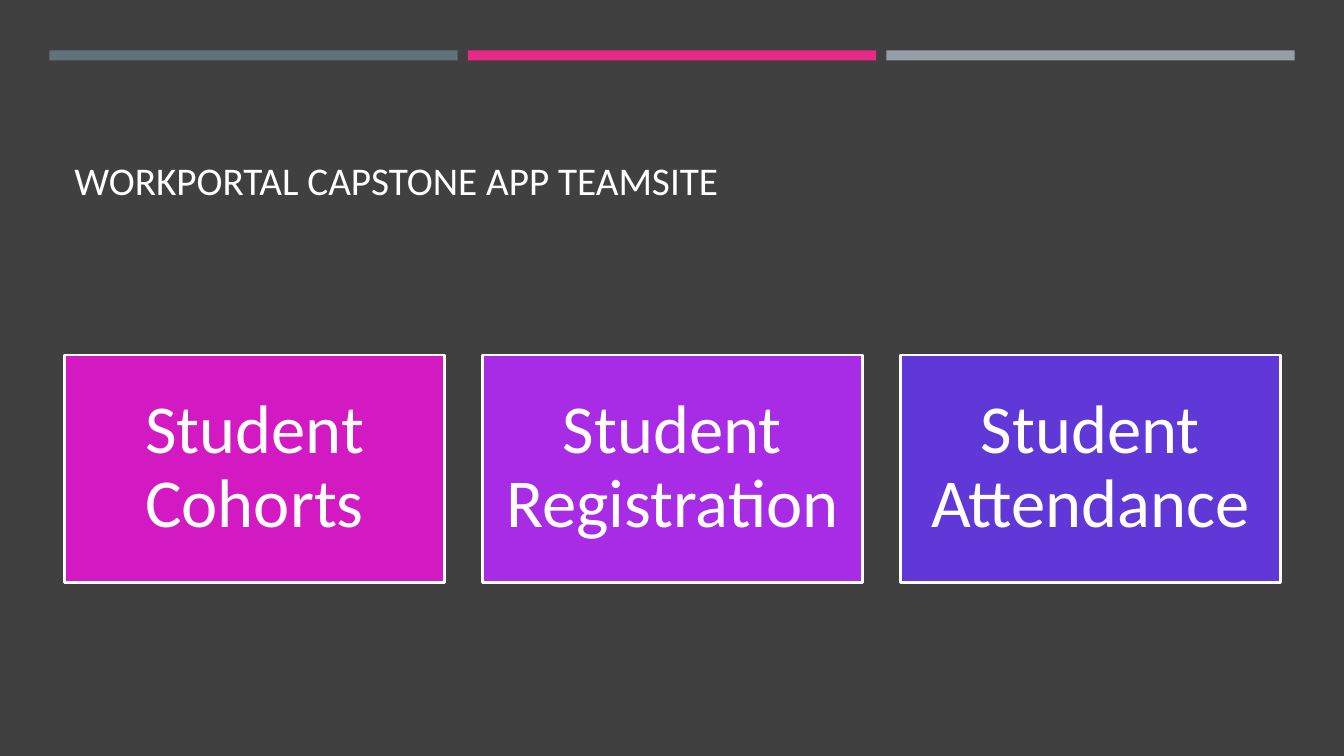
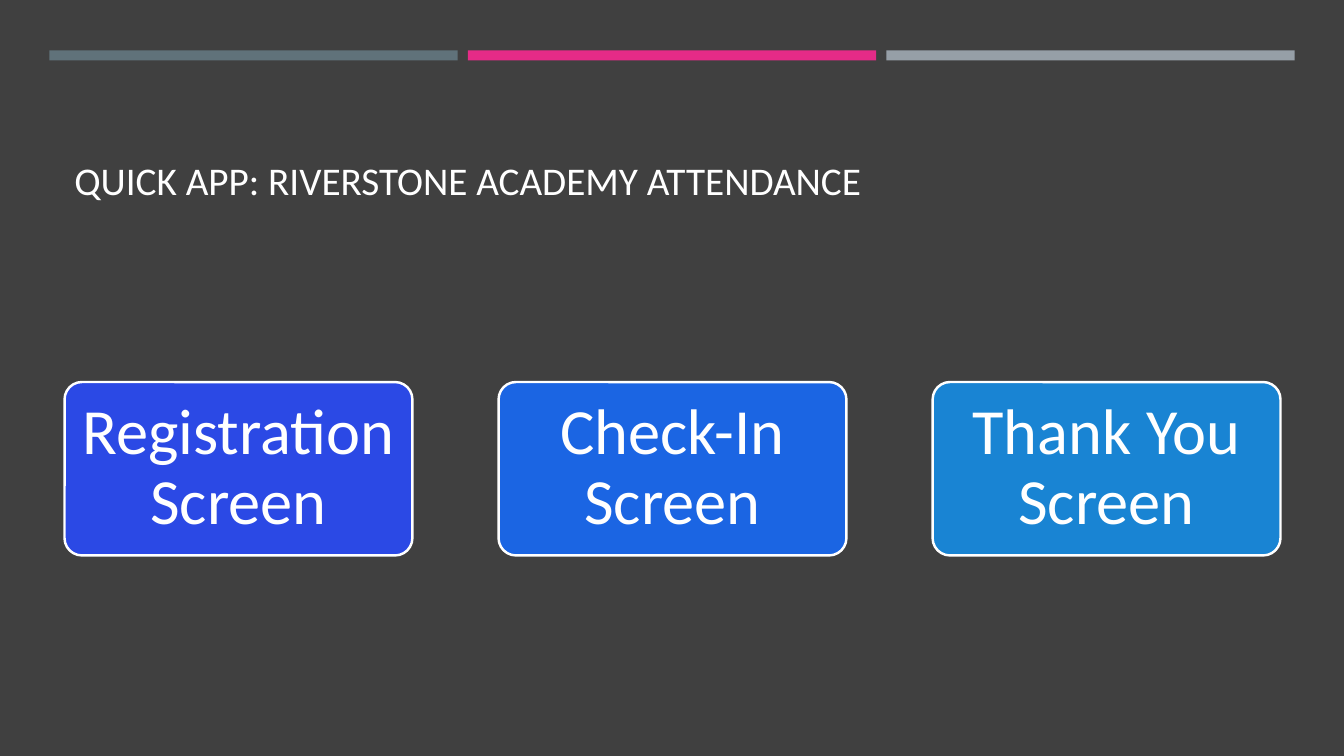
from pptx import Presentation
from pptx.dml.color import RGBColor
from pptx.enum import shapes, text
from pptx.util import Inches, Pt

COLORS = {
    "background": "404040", "white": "FFFFFF",
    "slate": "60727A", "pink": "E52B87", "silver": "969FA7",
    "magenta": "D319C2", "purple": "A82BE5", "violet": "6138D8",
    "indigo": "2B49E5", "blue": "1B65E3", "azure": "1984D3",
}
FONT = "Calibri"
LEFT, CONTENT_WIDTH = 0.64, 12.06
BAND_LEFT, BAND_WIDTH, BAND_STEP = 0.49, 4.05, 4.15

SLIDES = [
    {"title": "WORKPORTAL CAPSTONE APP TEAMSITE",
     "outline": shapes.MSO_SHAPE.RECTANGLE,
     "top": 3.52, "width": 3.77, "height": 2.26,
     "insets": (0.2, 0.2), "size": 49,
     "cards": [("Student Cohorts", "magenta"),
               ("Student Registration", "purple"),
               ("Student Attendance", "violet")]},
    {"title": "QUICK APP: RIVERSTONE ACADEMY ATTENDANCE",
     "outline": shapes.MSO_SHAPE.ROUNDED_RECTANGLE,
     "top": 3.79, "width": 3.45, "height": 1.72,
     "insets": (0.1, 0.06), "size": 46,
     "cards": [("Registration Screen", "indigo"),
               ("Check-In Screen", "blue"),
               ("Thank You Screen", "azure")]},
]


def add_block(slide, outline, left, top, width, height, color):
    block = slide.shapes.add_shape(
        outline, Inches(left), Inches(top), Inches(width), Inches(height))
    block.shadow.inherit = False
    block.fill.solid()
    block.fill.fore_color.rgb = RGBColor.from_string(COLORS[color])
    block.line.fill.background()
    return block


def write(frame, words, size, anchor, align):
    frame.word_wrap = True
    frame.vertical_anchor = anchor
    paragraph = frame.paragraphs[0]
    paragraph.alignment = align
    paragraph.line_spacing = 0.9
    run = paragraph.add_run()
    run.text = words
    run.font.name = FONT
    run.font.size = Pt(size)
    run.font.color.rgb = RGBColor.from_string(COLORS["white"])


prs = Presentation()
prs.slide_width, prs.slide_height = Inches(13.33), Inches(7.5)

for content in SLIDES:
    slide = prs.slides.add_slide(prs.slide_layouts[6])
    slide.background.fill.solid()
    slide.background.fill.fore_color.rgb = RGBColor.from_string(COLORS["background"])

    # Title
    title = slide.shapes.add_textbox(
        Inches(LEFT), Inches(0.77), Inches(CONTENT_WIDTH), Inches(1.3))
    write(title.text_frame, content["title"], 28,
          text.MSO_ANCHOR.BOTTOM, text.PP_ALIGN.LEFT)

    # Bands along the top
    for i, color in enumerate(("slate", "pink", "silver")):
        add_block(slide, shapes.MSO_SHAPE.RECTANGLE,
                  BAND_LEFT + i * BAND_STEP, 0.5, BAND_WIDTH, 0.1, color)

    # Cards spread evenly across the content width
    width = content["width"]
    step = (CONTENT_WIDTH - width) / (len(content["cards"]) - 1)
    for i, (label, color) in enumerate(content["cards"]):
        card = add_block(slide, content["outline"], LEFT + i * step,
                         content["top"], width, content["height"], color)
        if content["outline"] == shapes.MSO_SHAPE.ROUNDED_RECTANGLE:
            card.adjustments[0] = 0.1
        card.line.color.rgb = RGBColor.from_string(COLORS["white"])
        card.line.width = Pt(1.75)
        frame = card.text_frame
        side, edge = content["insets"]
        frame.margin_left = frame.margin_right = Inches(side)
        frame.margin_top = frame.margin_bottom = Inches(edge)
        write(frame, label, content["size"],
              text.MSO_ANCHOR.MIDDLE, text.PP_ALIGN.CENTER)

prs.save("out.pptx")
